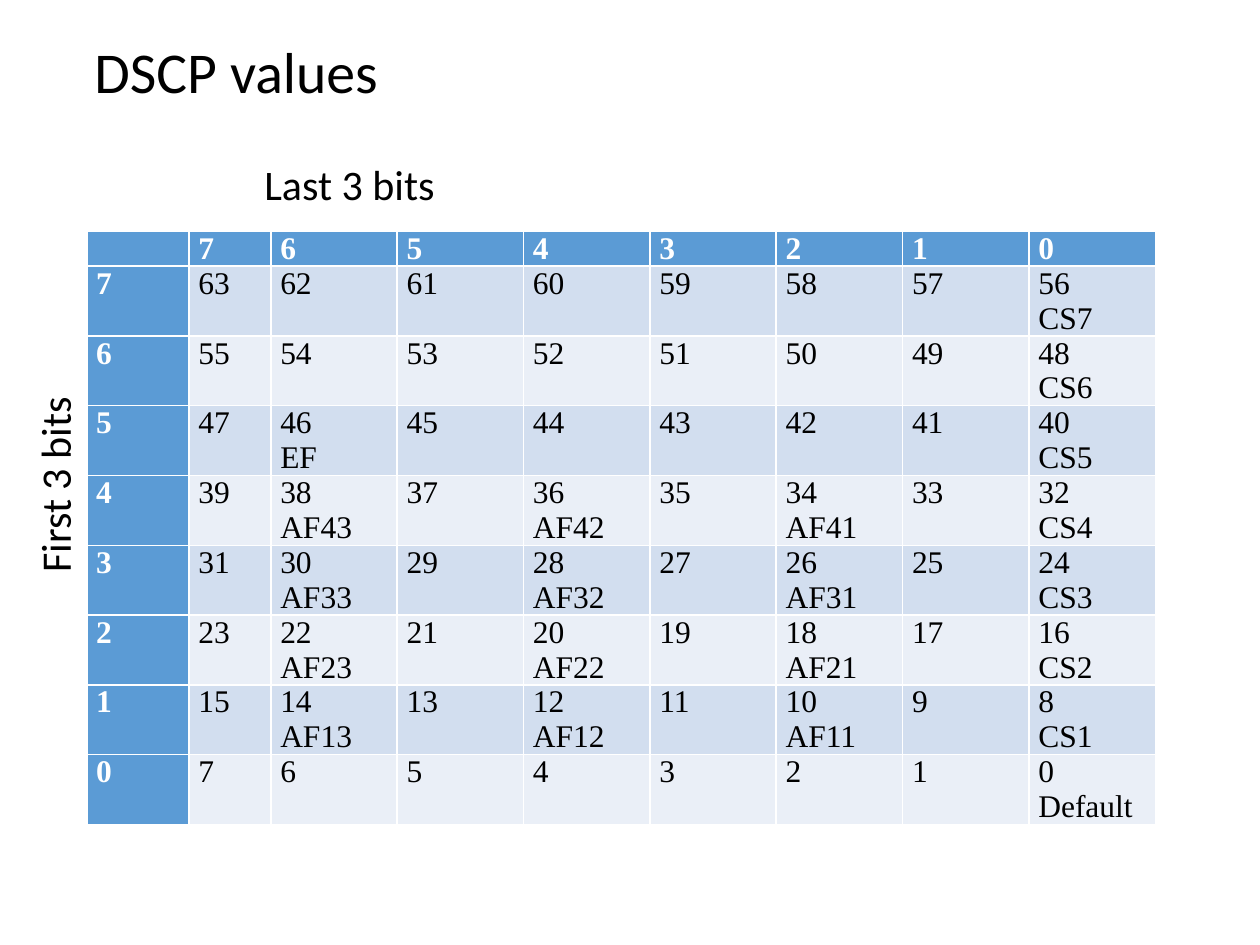
from dataclasses import dataclass

from pptx import Presentation
from pptx.dml.color import RGBColor
from pptx.enum.text import MSO_ANCHOR, PP_ALIGN
from pptx.util import Cm, Pt


@dataclass(frozen=True)
class Theme:
    heading_font: str = "Calibri"
    table_font: str = "Times New Roman"
    title_size: int = 33
    label_size: int = 24
    cell_size: int = 18
    ink: str = "000000"
    white: str = "FFFFFF"
    header: str = "5B9BD5"
    bands: tuple = ("D2DEEF", "EAEFF7")


THEME = Theme()
BITS = range(7, -1, -1)


def style(p, name, size, color, bold=False):
    p.font.name = name
    p.font.size = Pt(size)
    p.font.bold = bold
    p.font.color.rgb = RGBColor.from_string(color)


def codepoint_name(first, last):
    if last == 0:
        return f"CS{first}" if first else "Default"
    if (first, last) == (5, 6):
        return "EF"
    if 1 <= first <= 4 and last % 2 == 0:
        return f"AF{first}{last // 2}"
    return ""


def add_title(s, left, top, width, height):
    sp = s.shapes.title
    sp.left, sp.top, sp.width, sp.height = left, top, width, height
    tf = sp.text_frame
    tf.text = "DSCP values"
    tf.vertical_anchor = MSO_ANCHOR.MIDDLE
    p = tf.paragraphs[0]
    p.alignment = PP_ALIGN.LEFT
    p.line_spacing = 0.9
    style(p, THEME.heading_font, THEME.title_size, THEME.ink)


def add_axis_label(s, text, left, top, width, height, rotation=0):
    sp = s.shapes.add_textbox(left, top, width, height)
    sp.rotation = rotation
    tf = sp.text_frame
    tf.word_wrap = False
    tf.text = text
    style(tf.paragraphs[0], THEME.heading_font, THEME.label_size, THEME.ink)


def fill_cell(cell, text, fill, color, bold):
    cell.fill.solid()
    cell.fill.fore_color.rgb = RGBColor.from_string(fill)
    cell.margin_left = cell.margin_right = Cm(0.19)
    cell.margin_top = cell.margin_bottom = 0
    cell.text = text
    for p in cell.text_frame.paragraphs:
        style(p, THEME.table_font, THEME.cell_size, color, bold)
        if not text:
            p._p.get_or_add_endParaRPr().set("sz", "1200")


def add_dscp_table(s, left, top, width, height):
    size = len(BITS) + 1
    table = s.shapes.add_table(size, size, left, top, width, height).table
    table.first_col = True
    head_width, narrow, head_height = Cm(2.06), Cm(1.65), Cm(0.69)
    wide = (width - head_width - narrow) // (size - 2)
    for column, w in zip(table.columns, [head_width, narrow] + [wide] * (size - 2)):
        column.width = w
    table.rows[0].height = head_height
    for row in list(table.rows)[1:]:
        row.height = (height - head_height) // (size - 1)

    fill_cell(table.cell(0, 0), "", THEME.header, THEME.white, True)
    for i, first in enumerate(BITS, 1):
        for position in ((0, i), (i, 0)):
            fill_cell(table.cell(*position), str(first), THEME.header, THEME.white, True)
        band = THEME.bands[(i - 1) % 2]
        for j, last in enumerate(BITS, 1):
            text = f"{first * 8 + last}\n{codepoint_name(first, last)}".strip()
            fill_cell(table.cell(i, j), text, band, THEME.ink, False)


def main():
    prs = Presentation()
    prs.slide_width, prs.slide_height = Cm(25.4), Cm(19.05)
    s = prs.slides.add_slide(prs.slide_layouts[5])
    add_title(s, Cm(1.65), Cm(0.64), Cm(21.9), Cm(1.73))
    add_dscp_table(s, Cm(1.75), Cm(4.66), Cm(21.54), Cm(11.95))
    add_axis_label(s, "First 3 bits", Cm(-0.99), Cm(9.07), Cm(4.17), Cm(1.27), 270)
    add_axis_label(s, "Last 3 bits", Cm(5.08), Cm(3.07), Cm(4.06), Cm(1.27))
    prs.save("out.pptx")


if __name__ == "__main__":
    main()
